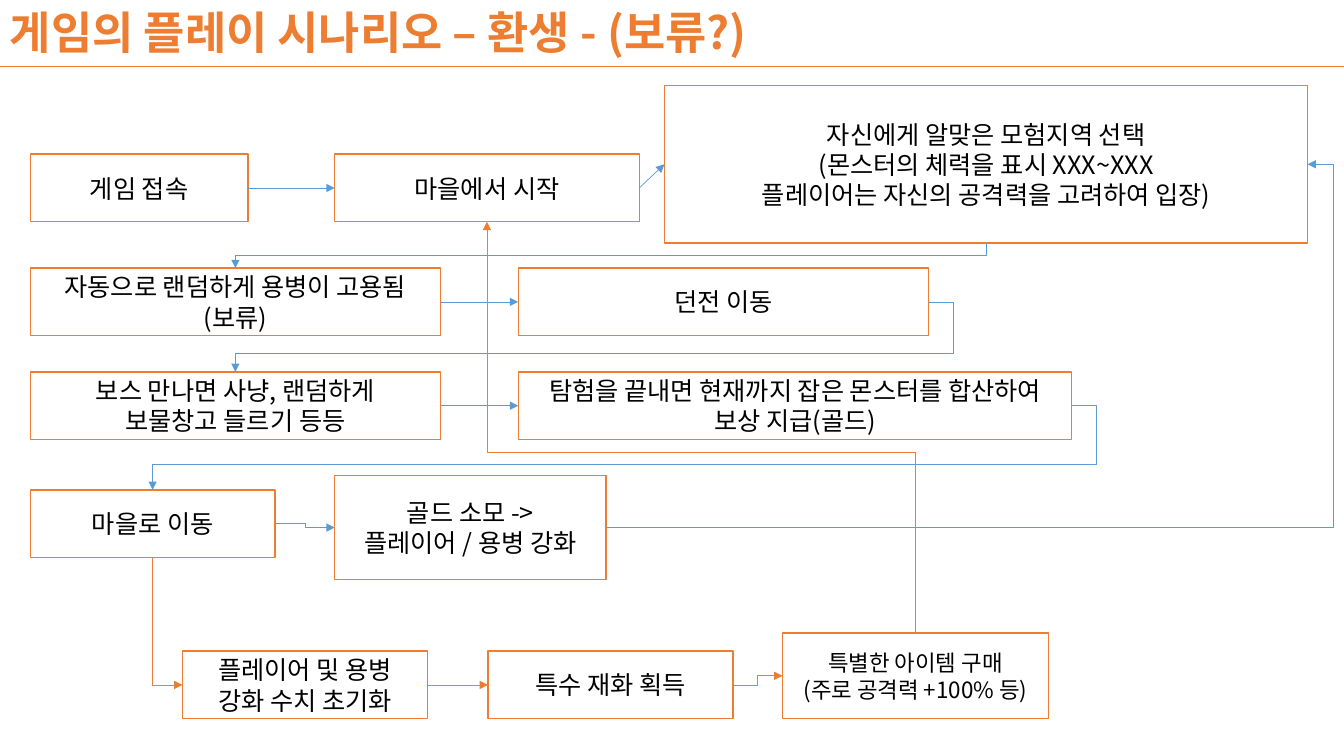
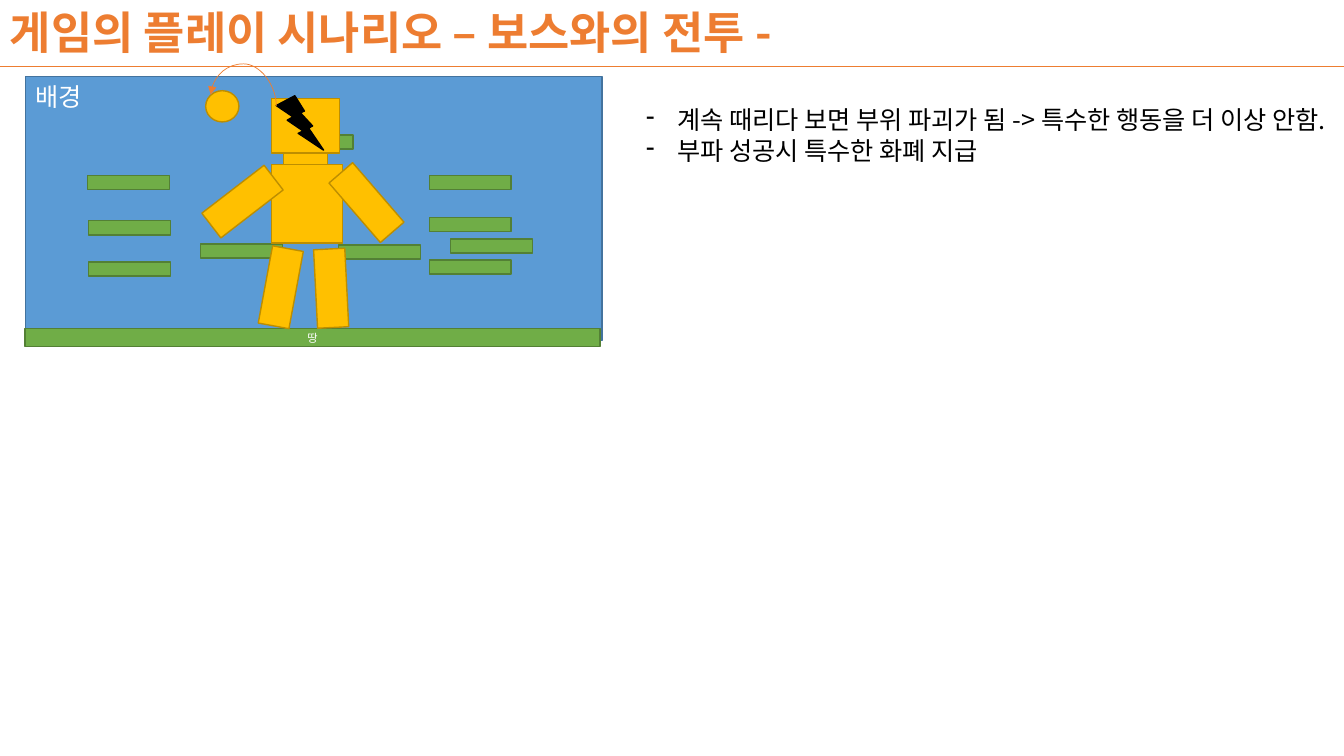
from lxml import etree
from pptx import Presentation
from pptx.dml.color import RGBColor
from pptx.enum import shapes, text
from pptx.oxml import ns
from pptx.util import Inches, Pt

FONT = "Noto Sans CJK KR"
ORANGE = RGBColor(0xED, 0x7D, 0x31)
BLUE = RGBColor(0x5B, 0x9B, 0xD5)
DARK_BLUE = RGBColor(0x43, 0x73, 0x9E)
GREEN = RGBColor(0x70, 0xAD, 0x47)
DARK_GREEN = RGBColor(0x53, 0x80, 0x35)
GOLD = RGBColor(0xFF, 0xC0, 0x00)
DARK_GOLD = RGBColor(0xBD, 0x8E, 0x00)
BLACK = RGBColor(0, 0, 0)
WHITE = RGBColor(0xFF, 0xFF, 0xFF)

SHAPE = shapes.MSO_SHAPE
LINE = shapes.MSO_CONNECTOR
ALIGN = text.PP_ALIGN
ANCHOR = text.MSO_ANCHOR
TOP, LEFT, BOTTOM, RIGHT = range(4)
SLIDE_W, SLIDE_H = 13.33, 7.5


# Shared helpers
def sub(parent, tag, **attributes):
    return etree.SubElement(parent, ns.qn(tag), attributes)


def write(frame, words, size=18, color=BLACK, bold=False, align=None):
    frame.word_wrap = True
    frame.text = words
    for paragraph in frame.paragraphs:
        paragraph.alignment = align
        font = paragraph.font
        font.size, font.bold, font.name = Pt(size), bold, FONT
        font.color.rgb = color
        defaults = paragraph._p.pPr.find(ns.qn("a:defRPr"))
        sub(defaults, "a:ea", typeface=FONT)


def add_text(slide, box, words, **style):
    area = slide.shapes.add_textbox(*map(Inches, box))
    write(area.text_frame, words, **style)
    area.text_frame.auto_size = text.MSO_AUTO_SIZE.SHAPE_TO_FIT_TEXT
    return area.text_frame


def add_block(slide, box, fill, edge, words="", kind=SHAPE.RECTANGLE, rotation=0,
              margins=(0.1, 0.05), anchor=ANCHOR.MIDDLE, align=ALIGN.CENTER,
              **style):
    block = slide.shapes.add_shape(kind, *map(Inches, box))
    block.shadow.inherit = False
    block.fill.solid()
    block.fill.fore_color.rgb = fill
    block.line.color.rgb = edge
    block.line.width = Pt(1)
    block.rotation = rotation
    if words:
        frame = block.text_frame
        frame.vertical_anchor = anchor
        frame.margin_left = frame.margin_right = Inches(margins[0])
        frame.margin_top = frame.margin_bottom = Inches(margins[1])
        write(frame, words, align=align, **style)
    return block


def add_line(slide, kind, color, points=(0, 0, 0, 0)):
    line = slide.shapes.add_connector(kind, *map(Inches, points))
    line.line.color.rgb = color
    line.line.width = Pt(0.5)
    sub(line.element.spPr, "a:effectLst")
    return line


def add_arrow(slide, kind, color, start, end, preset=None, turn=0,
              adjust=(), points=None):
    """Glue an arrow between (shape, site) pairs; turn is 0, 90 or 270 degrees."""
    arrow = add_line(slide, kind, color)
    arrow.begin_connect(*start)
    arrow.end_connect(*end)
    x1, y1, x2, y2 = (map(Inches, points) if points else
                      (arrow.begin_x, arrow.begin_y, arrow.end_x, arrow.end_y))
    # Undo the turn about the centre to find the unrotated ends
    dx, dy = x2 - x1, y2 - y1
    across, down = {0: (dx, dy), 90: (dy, -dx), 270: (-dy, dx)}[turn]
    left, top = (x1 + x2 - across) // 2, (y1 + y2 - down) // 2
    arrow.begin_x, arrow.begin_y = left, top
    arrow.end_x, arrow.end_y = left + across, top + down

    properties = arrow.element.spPr
    if turn:
        properties.find(ns.qn("a:xfrm")).set("rot", str(turn * 60000))
    geometry = properties.find(ns.qn("a:prstGeom"))
    if preset:
        geometry.set("prst", preset)
    guides = geometry.find(ns.qn("a:avLst"))
    for number, share in enumerate(adjust, 1):
        sub(guides, "a:gd", name=f"adj{number}", fmla=f"val {round(share * 100000)}")
    sub(properties.find(ns.qn("a:ln")), "a:tailEnd", type="triangle")


def add_titled_slide(deck, title):
    slide = deck.slides.add_slide(deck.slide_layouts[6])
    add_line(slide, LINE.STRAIGHT, ORANGE, (0, 0.66, SLIDE_W, 0.66))
    add_text(slide, (0, 0, 11.05, 0.64), title, size=32, color=ORANGE, bold=True)
    return slide


# Flow of one play through, up to rebirth
def draw_flow(slide, left, top):
    def step(x, y, width, words, height=0.67, **look):
        return add_block(slide, (left + x, top + y, width, height),
                         WHITE, ORANGE, words, **look)

    login = step(0, 0.68, 2.16, "게임 접속")
    village = step(3.02, 0.68, 3.02, "마을에서 시작")
    region = step(6.29, 0, 6.38, "자신에게 알맞은 모험지역 선택\n"
                  "(몬스터의 체력을 표시 XXX~XXX\n"
                  "플레이어는 자신의 공격력을 고려하여 입장)", 1.56)
    hire = step(0, 1.81, 4.07, "자동으로 랜덤하게 용병이 고용됨\n(보류)")
    dungeon = step(4.84, 1.81, 4.07, "던전 이동")
    boss = step(0, 2.84, 4.07, "보스 만나면 사냥, 랜덤하게 보물창고 들르기 등등",
                margins=(0.25, 0.05))
    reward = step(4.84, 2.84, 5.49,
                  "탐험을 끝내면 현재까지 잡은 몬스터를 합산하여 보상 지급(골드)")
    back = step(0, 4.01, 2.43, "마을로 이동")
    upgrade = step(3.02, 3.87, 2.69, "골드 소모 ->\n플레이어 / 용병 강화", 1.03)
    reset = step(1.51, 5.61, 2.43, "플레이어 및 용병 강화 수치 초기화")
    currency = step(4.54, 5.61, 2.43, "특수 재화 획득")
    item = step(7.46, 5.43, 2.64, "특별한 아이템 구매\n(주로 공격력 +100% 등)",
                0.85, size=16, margins=(0.05, 0.05))

    # Straight arrows to the step on the right
    for here, following in ((login, village), (village, region),
                            (hire, dungeon), (boss, reward)):
        add_arrow(slide, LINE.STRAIGHT, BLUE, (here, RIGHT), (following, LEFT))

    # Elbow arrows: blue for the main loop, orange for rebirth
    elbows = (
        (BLUE, region, BOTTOM, hire, TOP, None, 90, ()),
        (BLUE, dungeon, RIGHT, boss, TOP, "bentConnector4", 0, (-0.036, 0.741)),
        (BLUE, reward, RIGHT, back, TOP, "bentConnector4", 0, (-0.027, 0.702)),
        (BLUE, back, RIGHT, upgrade, LEFT, None, 0, ()),
        (BLUE, upgrade, RIGHT, region, RIGHT, None, 0, (1.036,)),
        (ORANGE, back, BOTTOM, reset, LEFT, "bentConnector2", 270, ()),
        (ORANGE, reset, RIGHT, currency, LEFT, None, 0, ()),
        (ORANGE, currency, RIGHT, item, LEFT, None, 0, ()),
        # Runs through the gap below the reward step
        (ORANGE, item, TOP, village, BOTTOM, None, 270, (0.44,)),
    )
    for color, here, exit_site, following, entry, preset, turn, adjust in elbows:
        add_arrow(slide, LINE.ELBOW, color, (here, exit_site), (following, entry),
                  preset, turn, adjust)


# Boss arena
def draw_arena(slide, left, top):
    def part(x, y, width, height, fill, edge, **look):
        return add_block(slide, (left + x, top + y, width, height),
                         fill, edge, **look)

    part(0, 0, 5.72, 2.62, BLUE, DARK_BLUE, words="배경", color=WHITE,
         anchor=ANCHOR.TOP, align=ALIGN.LEFT)
    part(0, 2.5, 5.7, 0.18, GREEN, DARK_GREEN, words="땅", color=WHITE,
         size=8, margins=(0, 0))
    # Platforms
    for x, y in ((0.63, 1.84), (0.63, 1.43), (0.62, 0.98), (4.01, 0.98),
                 (4.01, 1.4), (4.01, 1.82), (4.22, 1.61), (3.11, 1.67),
                 (1.74, 1.66), (2.44, 0.58)):
        part(x, y, 0.81, 0.14, GREEN, DARK_GREEN)

    # Boss: neck, torso, arms, legs, head
    part(2.56, 0.68, 0.44, 0.21, GOLD, DARK_GOLD)
    part(2.44, 0.87, 0.71, 0.78, GOLD, DARK_GOLD)
    for x, y, angle in ((2, 0.85, 52.4), (3.23, 0.86, 319.2),
                        (2.88, 1.71, 357.1), (2.38, 1.7, 10.5)):
        part(x, y, 0.31, 0.78, GOLD, DARK_GOLD, rotation=angle)
    part(2.44, 0.22, 0.68, 0.54, GOLD, DARK_GOLD)

    # Piece broken off the head
    ball = part(1.79, 0.14, 0.33, 0.31, GOLD, DARK_GOLD, kind=SHAPE.OVAL)
    crack = part(2.49, 0.19, 0.47, 0.54, BLACK, BLACK, kind=SHAPE.LIGHTNING_BOLT)
    add_arrow(slide, LINE.CURVE, ORANGE, (crack, 1), (ball, 1), turn=270,
              adjust=(3.789,),
              points=(left + 2.49, top + 0.29, left + 1.84, top + 0.18))


def add_rules(slide, box, rules):
    frame = add_text(slide, box, "\n".join(rules))
    for paragraph in frame.paragraphs:
        properties = paragraph._p.pPr
        properties.set("marL", str(Inches(0.31)))
        properties.set("indent", str(-Inches(0.31)))
        dash = sub(properties, "a:buChar", char="-")
        properties.insert(0, dash)


deck = Presentation()
deck.slide_width, deck.slide_height = Inches(SLIDE_W), Inches(SLIDE_H)

rebirth = add_titled_slide(deck, "게임의 플레이 시나리오 – 환생 - (보류?)")
draw_flow(rebirth, 0.3, 0.85)

battle = add_titled_slide(deck, "게임의 플레이 시나리오 – 보스와의 전투 -")
add_rules(battle, (6.31, 0.99, 6.93, 1.01), (
    "계속 때리다 보면 부위 파괴가 됨 -> 특수한 행동을 더 이상 안함.",
    "부파 성공시 특수한 화폐 지급",
))
draw_arena(battle, 0.25, 0.76)

deck.save("out.pptx")
